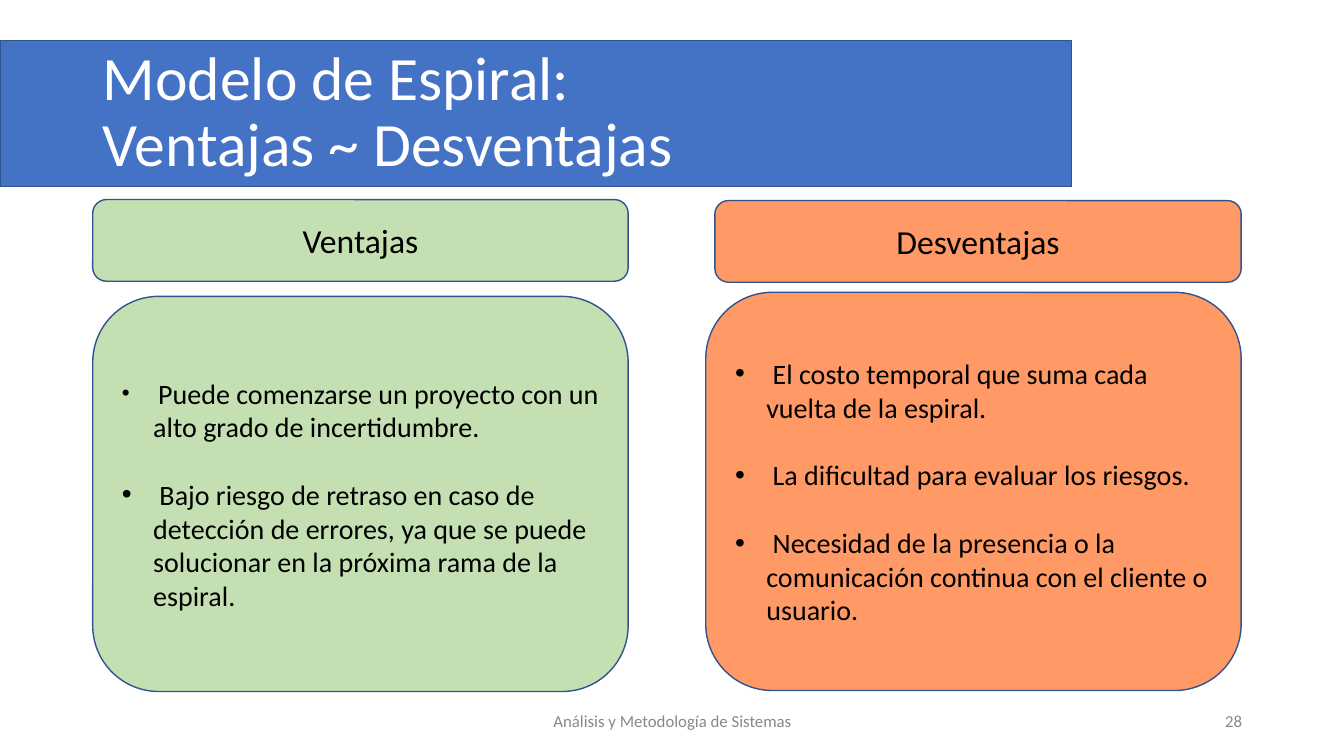
from dataclasses import dataclass
from typing import Any

from lxml import etree
from pptx import Presentation
from pptx import util as u
from pptx.dml.color import RGBColor
from pptx.enum import shapes, text
from pptx.oxml import ns

BLUE = RGBColor(0x44, 0x72, 0xC4)
OUTLINE = RGBColor(0x31, 0x53, 0x8F)
GREEN = RGBColor(0xC4, 0xE0, 0xB2)
ORANGE = RGBColor(0xFF, 0x99, 0x66)
GREY = RGBColor(0x88, 0x88, 0x88)
BLACK = RGBColor(0, 0, 0)
WHITE = RGBColor(0xFF, 0xFF, 0xFF)

WIDTH, HEIGHT = u.Inches(13.33), u.Inches(7.5)
CORNER = 0.167
CORNER_INSET = 0.29
LEFT, CENTER, RIGHT = text.PP_ALIGN.LEFT, text.PP_ALIGN.CENTER, text.PP_ALIGN.RIGHT


@dataclass(frozen=True)
class Area:
    """Left, top, width and height in percent of the slide."""
    left: float
    top: float
    width: float
    height: float

    def lengths(self) -> tuple[int, int, int, int]:
        return (round(WIDTH * self.left / 100), round(HEIGHT * self.top / 100),
                round(WIDTH * self.width / 100), round(HEIGHT * self.height / 100))


@dataclass(frozen=True)
class Column:
    heading: str
    color: RGBColor
    heading_area: Area
    panel_area: Area
    points: tuple[str, ...]
    first_bullet_size: int


@dataclass(frozen=True)
class Footer:
    wording: str
    area: Area
    align: Any


BANNER = Area(0, 5.33, 79.75, 19.33)
TITLE = Area(6.9, 5.33, 72.9, 19.33)

COLUMNS = (
    Column("Ventajas", GREEN, Area(6.9, 26.4, 39.84, 10.8), Area(6.9, 39.2, 39.84, 52.27),
           ("Puede comenzarse un proyecto con un alto grado de incertidumbre.",
            "Bajo riesgo de retraso en caso de detección de errores, ya que se puede "
            "solucionar en la próxima rama de la espiral."), 16),
    Column("Desventajas", ORANGE, Area(53.19, 26.53, 39.16, 10.8), Area(52.51, 38.67, 39.84, 52.67),
           ("El costo temporal que suma cada vuelta de la espiral.",
            "La dificultad para evaluar los riesgos.",
            "Necesidad de la presencia o la comunicación continua con el cliente o usuario."), 20),
)

FOOTERS = (
    Footer("Análisis y Metodología de Sistemas", Area(33.16, 92.67, 33.76, 5.33), CENTER),
    Footer("28", Area(70.67, 92.67, 22.5, 5.33), RIGHT),
)


def apply(target: Any, values: dict[str, Any]) -> None:
    for name, value in values.items():
        setattr(target, name, value)


def place(box: Any, lengths: tuple[int, int, int, int]) -> None:
    apply(box, dict(zip(("left", "top", "width", "height"), lengths)))


def format_frame(frame: Any) -> None:
    apply(frame, {"word_wrap": True, "auto_size": text.MSO_AUTO_SIZE.NONE,
                  "vertical_anchor": text.MSO_ANCHOR.MIDDLE})


def format_font(font: Any, size: float, color: RGBColor) -> None:
    apply(font, {"name": "Calibri", "size": u.Pt(size)})
    font.color.rgb = color


def write(box: Any, wording: str, size: float, color: RGBColor, align: Any,
          spacing: float = 1.0) -> None:
    format_frame(box.text_frame)
    para = box.text_frame.paragraphs[0]
    para.text = wording
    apply(para, {"alignment": align, "line_spacing": spacing, "space_before": u.Pt(0)})
    for span in para.runs:
        format_font(span.font, size, color)


def add_panel(page: Any, kind: Any, area: Area, color: RGBColor) -> Any:
    panel = page.shapes.add_shape(kind, *area.lengths())
    panel.shadow.inherit = False
    panel.fill.solid()
    panel.fill.fore_color.rgb = color
    panel.line.color.rgb = OUTLINE
    panel.line.width = u.Pt(1)
    if kind == shapes.MSO_SHAPE.ROUNDED_RECTANGLE:
        panel.adjustments[0] = CORNER
    page.shapes.element.insert(2, panel.element)
    return panel


def add_bullet(para: Any) -> None:
    properties = para._p.get_or_add_pPr()
    apply_indent = {"marL": u.Inches(0.31), "indent": -u.Inches(0.31)}
    for name, length in apply_indent.items():
        properties.set(name, str(length))
    for tag, name, value in (("a:buFont", "typeface", "Arial"), ("a:buChar", "char", "•")):
        etree.SubElement(properties, ns.qn(tag)).set(name, value)


def fill_list(body: Any, column: Column) -> None:
    left, top, width, height = column.panel_area.lengths()
    inset = round(min(width, height) * CORNER * CORNER_INSET)
    place(body, (left + inset, top + inset, width - 2 * inset, height - 2 * inset))
    frame = body.text_frame
    format_frame(frame)
    for number, point in enumerate(column.points):
        para = frame.add_paragraph() if number else frame.paragraphs[0]
        add_bullet(para)
        apply(para, {"alignment": LEFT, "line_spacing": 1.0,
                     "space_before": u.Pt(24.4 if number else 0), "space_after": u.Pt(0)})
        lead_size = 20 if number else column.first_bullet_size
        for wording, size in ((" ", lead_size), (point, 20)):
            span = para.add_run()
            span.text = wording
            format_font(span.font, size, BLACK)


def main() -> None:
    deck = Presentation()
    apply(deck, {"slide_width": WIDTH, "slide_height": HEIGHT})
    page = deck.slides.add_slide(deck.slide_layouts.get_by_name("Two Content"))
    title, *bodies = page.placeholders

    add_panel(page, shapes.MSO_SHAPE.RECTANGLE, BANNER, BLUE)
    place(title, TITLE.lengths())
    write(title, "Modelo de Espiral:\vVentajas ~ Desventajas", 44, WHITE, LEFT, 0.9)

    rounded = shapes.MSO_SHAPE.ROUNDED_RECTANGLE
    for column, body in zip(COLUMNS, bodies):
        heading = add_panel(page, rounded, column.heading_area, column.color)
        write(heading, column.heading, 24, BLACK, CENTER)
        add_panel(page, rounded, column.panel_area, column.color)
        fill_list(body, column)

    for footer in FOOTERS:
        box = page.shapes.add_textbox(*footer.area.lengths())
        write(box, footer.wording, 12, GREY, footer.align)

    deck.save("out.pptx")


if __name__ == "__main__":
    main()
